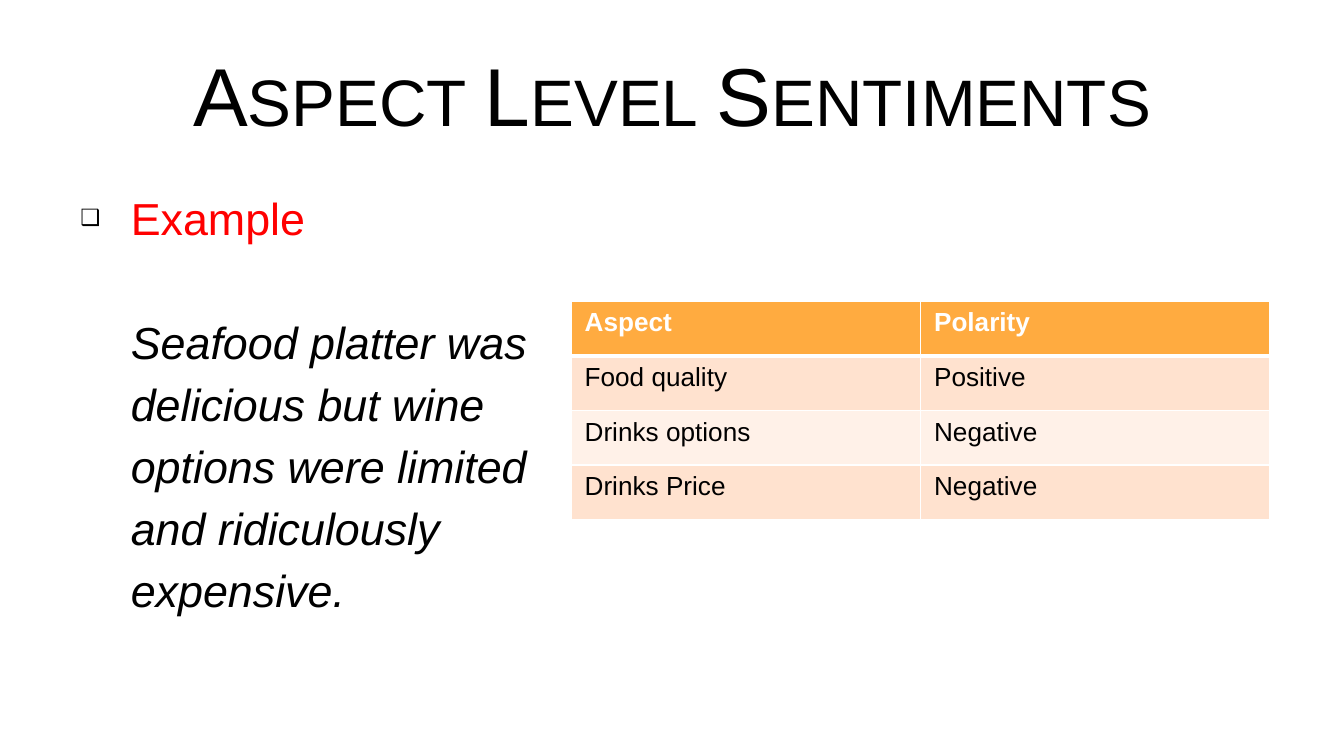
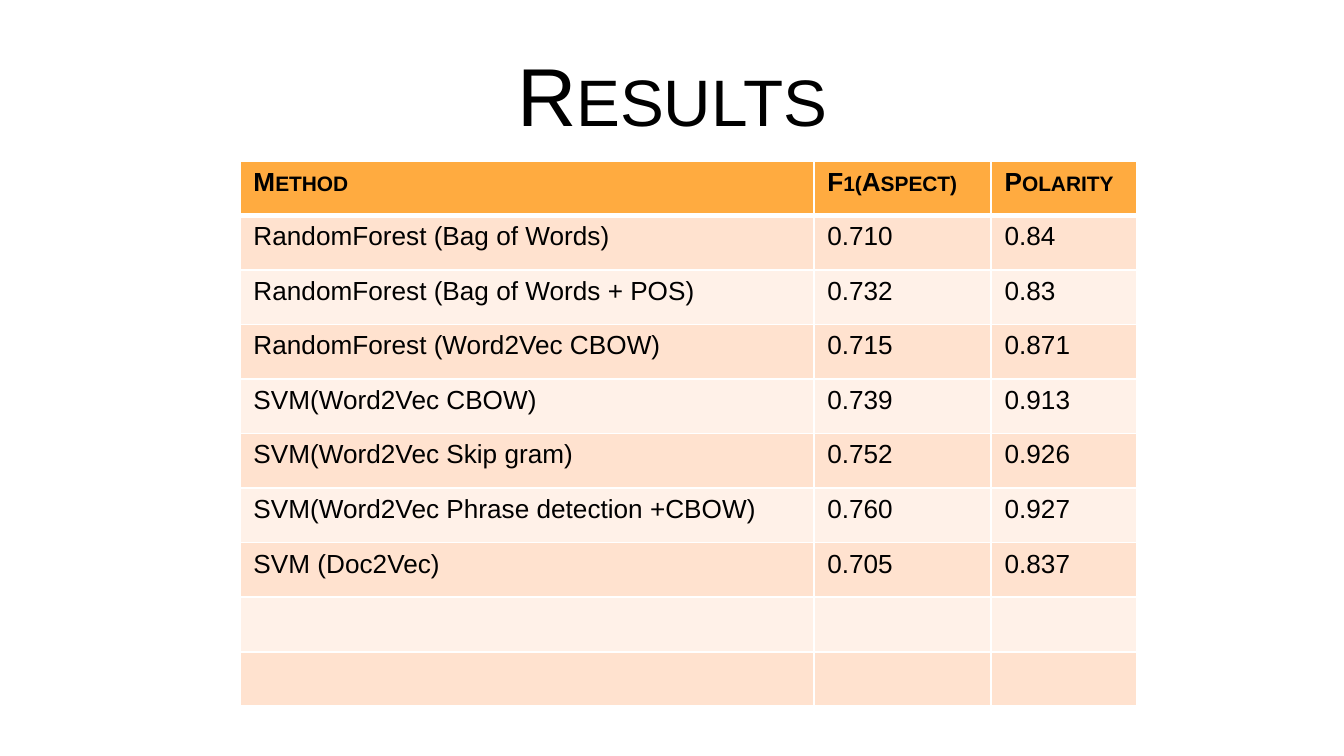
import pptx
import pptx.util
import pptx.dml.color
import pptx.enum.text
import pptx.oxml.ns
import lxml.etree

WIDE = pptx.util.Inches(10)
HIGH = WIDE * 9 // 16
# Grid: 100 columns across, with rows as high as the columns are wide
COL = ROW = WIDE / 100
FONT = "Arial"
HUES = {
    "ink": "000000",
    "paper": "FFFFFF",
    "mark": "FF0000",
    "head": "FFAB40",
    "odd": "FFE2CF",
    "even": "FFF1E8",
}
TITLE = (5, 2.3, 90, 9.4)
LINE = 4.06  # table row height, in grid rows

ASPECTS = [
    ("Aspect", "Polarity"),
    ("Food quality", "Positive"),
    ("Drinks options", "Negative"),
    ("Drinks Price", "Negative"),
]
SCORES = [
    ("Method", "F1(Aspect)", "Polarity"),
    ("RandomForest (Bag of Words)", "0.710", "0.84"),
    ("RandomForest (Bag of Words + POS)", "0.732", "0.83"),
    ("RandomForest (Word2Vec CBOW)", "0.715", "0.871"),
    ("SVM(Word2Vec CBOW)", "0.739", "0.913"),
    ("SVM(Word2Vec Skip gram)", "0.752", "0.926"),
    ("SVM(Word2Vec Phrase detection +CBOW)", "0.760", "0.927"),
    ("SVM (Doc2Vec)", "0.705", "0.837"),
    ("", "", ""),
    ("", "", ""),
]


def hue(name):
    return pptx.dml.color.RGBColor.from_string(HUES[name])


def place(box):
    left, top, width, height = box
    return [round(n) for n in (left * COL, top * ROW, width * COL, height * ROW)]


def node(root, tag, **attrs):
    return lxml.etree.SubElement(root, pptx.oxml.ns.qn(tag), **attrs)


def add_run(para, text, size, color="ink", bold=False, slant=False, caps=False):
    run = para.add_run()
    run.text = text
    font = run.font
    font.name, font.size = FONT, pptx.util.Pt(size)
    font.bold, font.italic = bold, slant
    font.color.rgb = hue(color)
    if caps:
        font._element.set("cap", "small")


def add_text(slide, box):
    frame = slide.shapes.add_textbox(*place(box)).text_frame
    frame.word_wrap = True
    return frame


def add_title(slide, box, text):
    frame = add_text(slide, box)
    frame.vertical_anchor = pptx.enum.text.MSO_ANCHOR.MIDDLE
    para = frame.paragraphs[0]
    para.alignment = pptx.enum.text.PP_ALIGN.CENTER
    add_run(para, text, 44, caps=True)


def add_quote(slide, box, label, quote):
    frame = add_text(slide, box)
    first, second = frame.paragraphs[0], frame.add_paragraph()
    inset = round(3.75 * COL)
    for para in (first, second):
        para.line_spacing = 1.15
        para._p.get_or_add_pPr().set("marL", str(inset))

    # Bulleted label
    props = first._p.get_or_add_pPr()
    props.set("indent", str(-inset))
    node(node(props, "a:buClr"), "a:srgbClr", val=HUES["ink"])
    node(props, "a:buSzPct", val="50000")
    node(props, "a:buFont", typeface=FONT)
    node(props, "a:buChar", char="❑")
    add_run(first, label, 24, "mark")

    # Quoted review, one line below
    second.space_before = pptx.util.Pt(33.5)
    add_run(second, quote, 24, slant=True)


def add_edges(cell, row):
    props = cell._tc.get_or_add_tcPr()
    for side in "LRTB":
        thick = (row, side) in ((0, "B"), (1, "T"))
        edge = node(props, "a:ln" + side, w=str(pptx.util.Pt(3 if thick else 1)))
        node(node(edge, "a:solidFill"), "a:srgbClr", val=HUES["paper"])


def add_grid(slide, spot, cols, rows, color, caps=False):
    box = (*spot, sum(cols), LINE * len(rows))
    table = slide.shapes.add_table(len(rows), len(cols), *place(box)).table
    table.horz_banding = False
    for i, width in enumerate(cols):
        table.columns[i].width = round(width * COL)
    for r, texts in enumerate(rows):
        table.rows[r].height = round(LINE * ROW)
        head = r == 0
        band = "head" if head else "odd" if r % 2 else "even"
        for c, text in enumerate(texts):
            cell = table.cell(r, c)
            add_edges(cell, r)
            cell.fill.solid()
            cell.fill.fore_color.rgb = hue(band)
            if text:
                add_run(cell.text_frame.paragraphs[0], text, 14,
                        color if head else "ink", bold=head, caps=caps and head)


def add_slide(deck, title):
    slide = deck.slides.add_slide(deck.slide_layouts[6])
    slide.background.fill.solid()
    slide.background.fill.fore_color.rgb = hue("paper")
    add_title(slide, TITLE, title)
    return slide


def main():
    deck = pptx.Presentation()
    deck.slide_width, deck.slide_height = WIDE, HIGH

    # Example review and its aspects
    slide = add_slide(deck, "Aspect Level Sentiments")
    add_quote(slide, (5, 13.1, 39.8, 37.1), "Example",
              "Seafood platter was delicious but wine options were limited "
              "and ridiculously expensive.")
    add_grid(slide, (42.5, 22.43), (26, 26), ASPECTS, "paper")

    # Scores by method
    slide = add_slide(deck, "Results")
    add_grid(slide, (17.86, 11.96), (42.7, 13.2, 10.8), SCORES, "ink", caps=True)

    deck.save("out.pptx")


if __name__ == "__main__":
    main()
